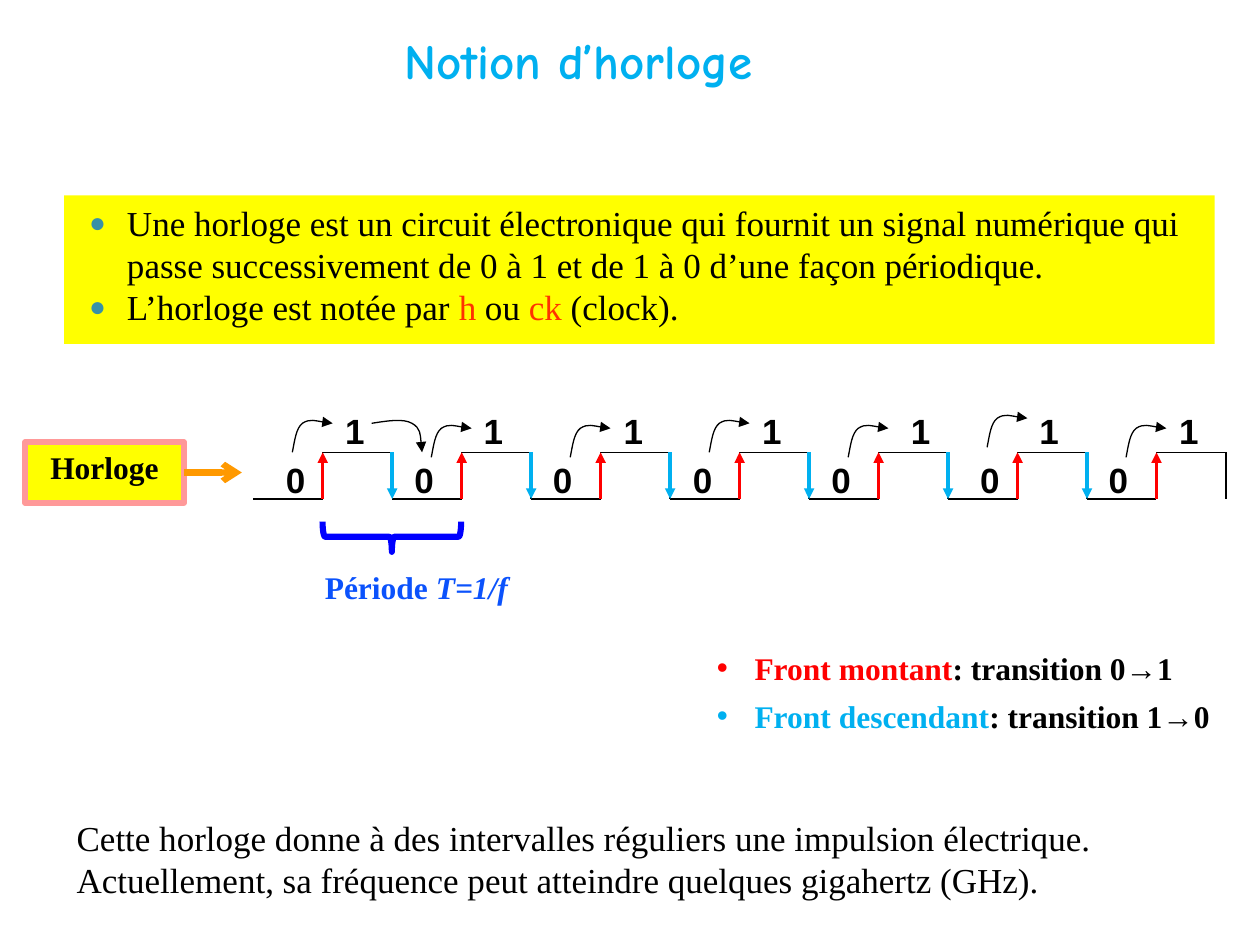
from lxml import etree
from pptx import Presentation
from pptx.dml.color import RGBColor
from pptx.enum.shapes import MSO_CONNECTOR as Connector, MSO_SHAPE as Shape
from pptx.enum.text import MSO_ANCHOR as Anchor, PP_ALIGN as Align
from pptx.oxml.ns import qn
from pptx.util import Inches, Pt

SERIF = "Times New Roman"
BLACK, RED, SKY, YELLOW = "000000", "FF0000", "00B0F0", "FFFF00"
CYCLES = 7
START, END = 2.01, 9.73
PERIOD = (END - START) / CYCLES
HIGH, LOW = 3.59, 3.96
ZERO_LEFTS = [2.17, 3.19, 4.29, 5.4, 6.5, 7.68, 8.7]
ONE_LEFTS = [2.64, 3.74, 4.85, 5.95, 7.13, 8.15, 9.26]
RISE_TOPS = [3.59, 3.63, 3.63, 3.59, 3.63, 3.55, 3.63]
RISE_CURVE = [(0.02, -0.1), (0.03, -0.19), (0.08, -0.23),
              (0.14, -0.27), (0.28, -0.23), (0.32, -0.23)]
FALL_CURVE = [(0.13, -0.02), (0.25, -0.04), (0.32, 0),
              (0.39, 0.04), (0.39, 0.13), (0.4, 0.23)]


def color(value):
    return RGBColor.from_string(value)


def add_element(parent, tag, **attributes):
    return etree.SubElement(parent, qn(tag), attributes)


def style_line(shape, line_color, width, arrow=None):
    shape.line.color.rgb = color(line_color)
    shape.line.width = Pt(width)
    if arrow:
        add_element(shape.element.spPr.get_or_add_ln(), "a:tailEnd", type=arrow)


def add_line(slide, start, end, line_color=BLACK, width=0.75, arrow=None):
    points = [Inches(value) for value in (*start, *end)]
    connector = slide.shapes.add_connector(Connector.STRAIGHT, *points)
    style_line(connector, line_color, width, arrow)
    add_element(connector.element.spPr, "a:effectLst")
    return connector


def add_curve(slide, left, top, offsets):
    points = [(Inches(left + x), Inches(top + y)) for x, y in offsets]
    builder = slide.shapes.build_freeform(Inches(left), Inches(top))
    builder.add_line_segments(points, close=False)
    curve = builder.convert_to_shape()
    curve.shadow.inherit = False
    curve.fill.background()
    style_line(curve, BLACK, 0.75, "triangle")
    segments = list(curve.element.iter(qn("a:lnTo")))
    outline = segments[0].getparent()
    for first in range(0, len(segments), 3):
        bezier = add_element(outline, "a:cubicBezTo")
        for segment in segments[first:first + 3]:
            bezier.append(segment[0])
            outline.remove(segment)


def add_shape(slide, kind, box, fill=None):
    shape = slide.shapes.add_shape(kind, *[Inches(value) for value in box])
    shape.shadow.inherit = False
    if fill:
        shape.fill.solid()
        shape.fill.fore_color.rgb = color(fill)
    else:
        shape.fill.background()
    shape.line.fill.background()
    return shape


def add_bullet(paragraph, symbol, bullet_color, margin, size=100):
    properties = paragraph._p.get_or_add_pPr()
    properties.set("marL", str(Inches(margin)))
    properties.set("indent", str(Inches(-0.3)))
    holder = add_element(properties, "a:buClr")
    add_element(holder, "a:srgbClr", val=bullet_color)
    add_element(properties, "a:buSzPct", val=str(size * 1000))
    add_element(properties, "a:buFont", typeface="Arial")
    add_element(properties, "a:buChar", char=symbol)


def write(paragraph, runs, size, font=SERIF, bold=False, align=Align.LEFT):
    paragraph.alignment = align
    paragraph.font.name = font
    paragraph.font.size = Pt(size)
    paragraph.font.bold = bold
    for text, run_color in runs:
        run = paragraph.add_run()
        run.text = text
        run.font.color.rgb = color(run_color)


def add_text(slide, box, runs, size, wrap=True, bullet=None, **style):
    text_box = slide.shapes.add_textbox(*[Inches(value) for value in box])
    frame = text_box.text_frame
    frame.word_wrap = wrap
    paragraph = frame.paragraphs[0]
    if bullet:
        add_bullet(paragraph, "•", bullet, 0.3)
    write(paragraph, runs, size, **style)
    return frame


def add_definition(slide):
    panel = add_shape(slide, Shape.RECTANGLE, (0.51, 1.55, 9.13, 1.18), YELLOW)
    frame = panel.text_frame
    frame.vertical_anchor = Anchor.TOP
    accent = "FF3300"
    items = [
        [("Une horloge est un circuit électronique qui fournit un signal numérique qui "
          "passe successivement de 0 à 1 et de 1 à 0 d’une façon périodique.", BLACK)],
        [("L’horloge est notée par ", BLACK), ("h", accent), (" ou ", BLACK),
         ("ck", accent), (" (clock).", BLACK)],
    ]
    for index, runs in enumerate(items):
        paragraph = frame.add_paragraph() if index else frame.paragraphs[0]
        add_bullet(paragraph, "●", "3891A7", 0.4, 80)
        write(paragraph, runs, 20)


def add_signal(slide):
    half = PERIOD / 2
    for cycle in range(CYCLES):
        left = START + cycle * PERIOD
        middle, right = left + half, left + PERIOD
        add_line(slide, (left, LOW), (middle, LOW))
        add_line(slide, (middle, HIGH), (right, HIGH))
        add_line(slide, (middle, LOW), (middle, HIGH))
        add_line(slide, (right, LOW), (right, HIGH))
    for digit, top, lefts in (("0", 3.59, ZERO_LEFTS), ("1", 3.2, ONE_LEFTS)):
        for left in lefts:
            add_text(slide, (left, top, 0.31, 0.4), [(digit, BLACK)], 20, wrap=False,
                     font="Arial", bold=True, align=Align.CENTER)
    for cycle, top in enumerate(RISE_TOPS):
        add_curve(slide, 2.32 + cycle * PERIOD, top, RISE_CURVE)
    add_curve(slide, 2.95, 3.36, FALL_CURVE)
    for cycle in range(CYCLES):
        rise = START + half + cycle * PERIOD
        add_line(slide, (rise, LOW), (rise, HIGH), RED, 2, "triangle")
    for cycle in range(1, CYCLES):
        fall = START + cycle * PERIOD
        add_line(slide, (fall, HIGH), (fall, LOW), SKY, 2, "triangle")


def add_clock_label(slide):
    label = add_shape(slide, Shape.RECTANGLE, (0.2, 3.51, 1.26, 0.48), YELLOW)
    style_line(label, "FF9999", 3.5)
    label.text_frame.vertical_anchor = Anchor.TOP
    write(label.text_frame.paragraphs[0], [("Horloge", BLACK)], 18,
          bold=True, align=Align.CENTER)
    arrow = add_line(slide, (1.46, 3.75), (1.92, 3.75), "FF9900", 3.5, "arrow")
    arrow.begin_connect(label, 3)


def add_period(slide):
    blue = "0B52FC"
    frame = add_text(slide, (2.48, 4.46, 2.54, 0.41),
                     [("Période ", blue), ("T=1/f", blue)], 18, bold=True)
    frame.paragraphs[0].runs[1].font.italic = True
    brace = add_shape(slide, Shape.RIGHT_BRACE, (2.99, 3.71, 0.24, 1.1))
    brace.rotation = 90
    style_line(brace, "0000FF", 3.5)


def add_edge_legend(slide):
    edges = [("Front montant", ": transition 0→1", RED, 5.1),
             ("Front descendant", ": transition 1→0", SKY, 5.48)]
    for name, meaning, edge_color, top in edges:
        add_text(slide, (5.59, top, 4.41, 0.41), [(name, edge_color), (meaning, BLACK)],
                 18, bullet=edge_color, bold=True)


def main():
    presentation = Presentation()
    presentation.slide_width, presentation.slide_height = Inches(10), Inches(7.5)
    slide = presentation.slides.add_slide(presentation.slide_layouts[6])
    title = add_text(slide, (3.11, 0.05, 3.94, 0.85), [("Notion d’horloge", SKY)], 28,
                     font="Comic Neue", bold=True)
    title.vertical_anchor = Anchor.MIDDLE
    add_definition(slide)
    add_signal(slide)
    add_clock_label(slide)
    add_text(slide, (0.51, 6.43, 9.37, 0.77),
             [("Cette horloge donne à des intervalles réguliers une impulsion électrique. "
               "Actuellement, sa fréquence peut atteindre quelques gigahertz (GHz).", BLACK)], 20)
    add_edge_legend(slide)
    add_period(slide)
    presentation.save("out.pptx")


if __name__ == "__main__":
    main()
